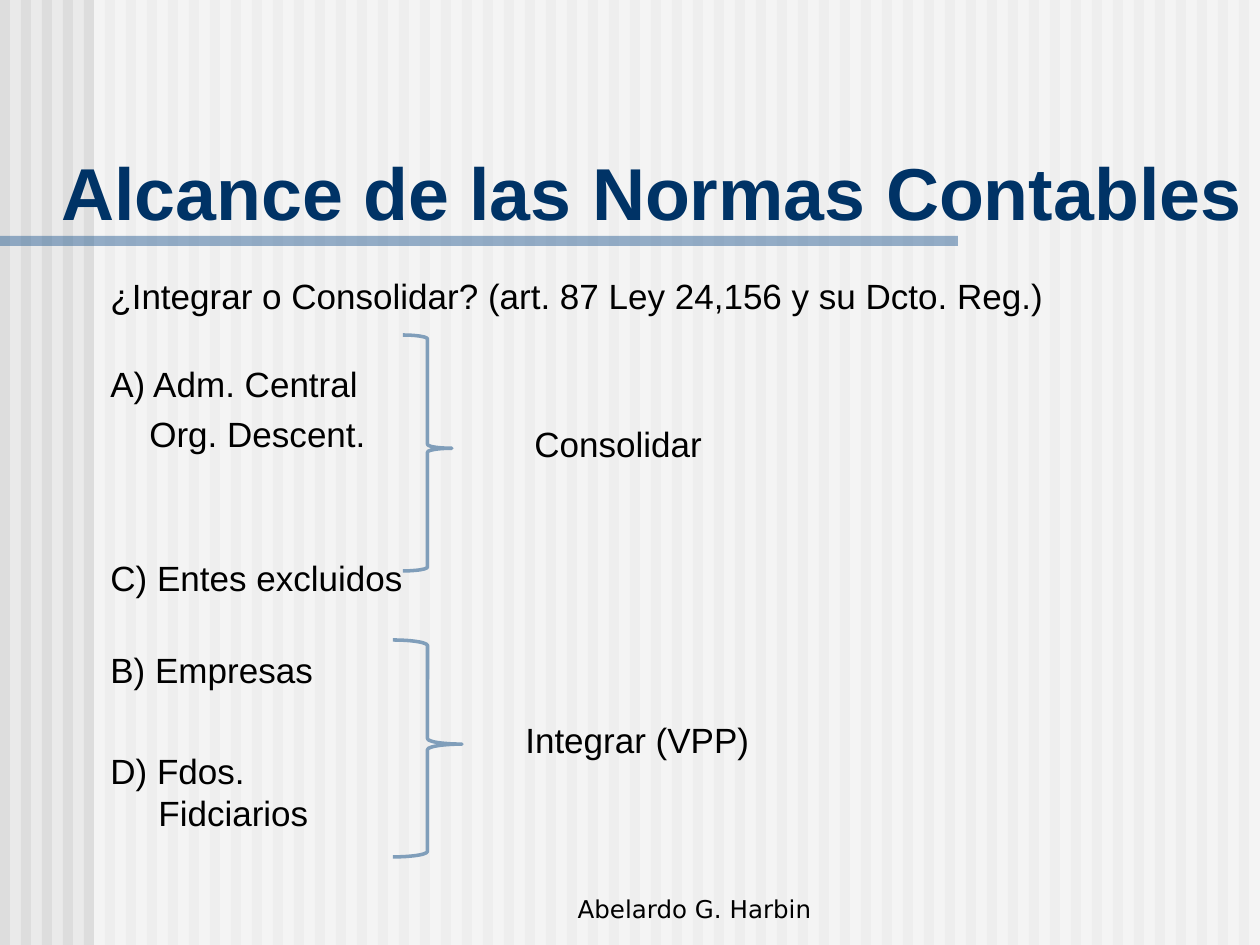
from dataclasses import dataclass

from lxml import etree
from pptx import Presentation
from pptx.dml.color import RGBColor
from pptx.enum.shapes import MSO_SHAPE
from pptx.enum.text import MSO_ANCHOR, PP_ALIGN
from pptx.oxml.ns import qn
from pptx.util import Emu, Pt

RECTANGLE = MSO_SHAPE.RECTANGLE
RIGHT_BRACE = MSO_SHAPE.RIGHT_BRACE
TOP, BOTTOM = MSO_ANCHOR.TOP, MSO_ANCHOR.BOTTOM
LEFT, CENTER = PP_ALIGN.LEFT, PP_ALIGN.CENTER

PX_PER_INCH = 126
PAGE_WIDTH, PAGE_HEIGHT = 1260, 945
STRIPE_PITCH, STRIPE_WIDTH = 21, 10
HANGING_INDENT = 48


@dataclass(frozen=True)
class Theme:
    """Colours, fonts and type sizes in points."""

    background: str = "EAEAEA"
    stripe: str = "DDDDDD"
    veil: str = "FFFFFF"
    rule: str = "336699"
    brace: str = "809EBA"
    title: str = "003366"
    text: str = "000000"
    font: str = "Arial"
    footer_font: str = "DejaVu Sans"
    title_size: int = 42
    body_size: int = 20
    footer_size: int = 14
    body_leading: int = 24


THEME = Theme()


def px(length):
    """Turn pixels into EMU."""
    return Emu(round(length * 914400 / PX_PER_INCH))


def place(*lengths):
    """Turn a left, top, width and height in pixels into EMU."""
    return [px(length) for length in lengths]


def add_band(page, bounds, color, opacity=None):
    """Add a plain rectangle, see-through if an opacity percentage is given."""
    band = page.shapes.add_shape(RECTANGLE, *place(*bounds))
    band.shadow.inherit = False
    band.line.fill.background()
    band.fill.solid()
    band.fill.fore_color.rgb = RGBColor.from_string(color)
    if opacity is not None:
        tint = band.fill._xPr.find(qn("a:solidFill"))[0]
        etree.SubElement(tint, qn("a:alpha")).set("val", str(opacity * 1000))


def add_brace(page, bounds):
    """Add an outlined right brace with its point just above the middle."""
    brace = page.shapes.add_shape(RIGHT_BRACE, *place(*bounds))
    brace.shadow.inherit = False
    brace.fill.background()
    brace.line.color.rgb = RGBColor.from_string(THEME.brace)
    brace.line.width = Pt(2)
    brace.adjustments[0] = 0.08
    brace.adjustments[1] = 0.48


def add_box(page, bounds, anchor=TOP):
    """Add an empty wrapping text box and return its frame."""
    frame = page.shapes.add_textbox(*place(*bounds)).text_frame
    frame.word_wrap = True
    frame.vertical_anchor = anchor
    return frame


def write(para, text, size=THEME.body_size, color=THEME.text, font=THEME.font,
          bold=False, align=LEFT):
    """Fill a paragraph with text in one style."""
    para.text = text
    para.alignment = align
    para.font.size = Pt(size)
    para.font.name = font
    para.font.bold = bold
    para.font.color.rgb = RGBColor.from_string(color)


def add_body(page, bounds, lines):
    """Add body text from (text, space before, left margin, first indent) rows."""
    frame = add_box(page, bounds)
    for index, (text, space, margin, indent) in enumerate(lines):
        para = frame.add_paragraph() if index else frame.paragraphs[0]
        properties = para._p.get_or_add_pPr()
        properties.set("marL", str(px(margin)))
        properties.set("indent", str(px(indent)))
        write(para, text)
        para.line_spacing = Pt(THEME.body_leading)
        if index:
            para.space_before = Pt(space)


def item(text, space=0):
    """Describe a lettered line with a hanging indent."""
    return text, space, HANGING_INDENT, -HANGING_INDENT


def plain(text, space=0, margin=0):
    """Describe a line without a hanging indent."""
    return text, space, margin, 0


def add_backdrop(page):
    """Draw the striped background, the veil and the rule under the title."""
    page.background.fill.solid()
    page.background.fill.fore_color.rgb = RGBColor.from_string(THEME.background)
    for left in range(0, PAGE_WIDTH, STRIPE_PITCH):
        add_band(page, (left, 0, STRIPE_WIDTH, PAGE_HEIGHT), THEME.stripe)
    add_band(page, (94, 0, PAGE_WIDTH - 94, PAGE_HEIGHT), THEME.veil, 50)
    add_band(page, (0, 236, 958, 10), THEME.rule, 50)


def main():
    """Build the slide and save it."""
    deck = Presentation()
    deck.slide_width, deck.slide_height = px(PAGE_WIDTH), px(PAGE_HEIGHT)
    page = deck.slides.add_slide(deck.slide_layouts[6])
    add_backdrop(page)

    title = add_box(page, (49, 139, 1211, 102), BOTTOM)
    write(title.paragraphs[0], "Alcance de las Normas Contables",
          THEME.title_size, THEME.title, bold=True)
    add_body(page, (98, 268, 1113, 69), [
        plain("¿Integrar o Consolidar? (art. 87 Ley 24,156 y su Dcto. Reg.)")])

    add_brace(page, (403, 335, 49, 236))
    add_brace(page, (393, 640, 69, 217))
    add_body(page, (98, 356, 325, 249), [
        item("A) Adm. Central"),
        plain("Org. Descent.", 5, 39),
        item("C) Entes excluidos", 58)])
    add_body(page, (98, 642, 315, 199), [
        item("B) Empresas"),
        item("D) Fdos. Fidciarios", 34)])
    add_body(page, (522, 416, 197, 55), [plain("Consolidar")])
    add_body(page, (513, 712, 249, 55), [plain("Integrar (VPP)")])

    footer = add_box(page, (495, 867, 399, 63), BOTTOM)
    write(footer.paragraphs[0], "Abelardo G. Harbin", THEME.footer_size,
          font=THEME.footer_font, align=CENTER)
    deck.save("out.pptx")


if __name__ == "__main__":
    main()
